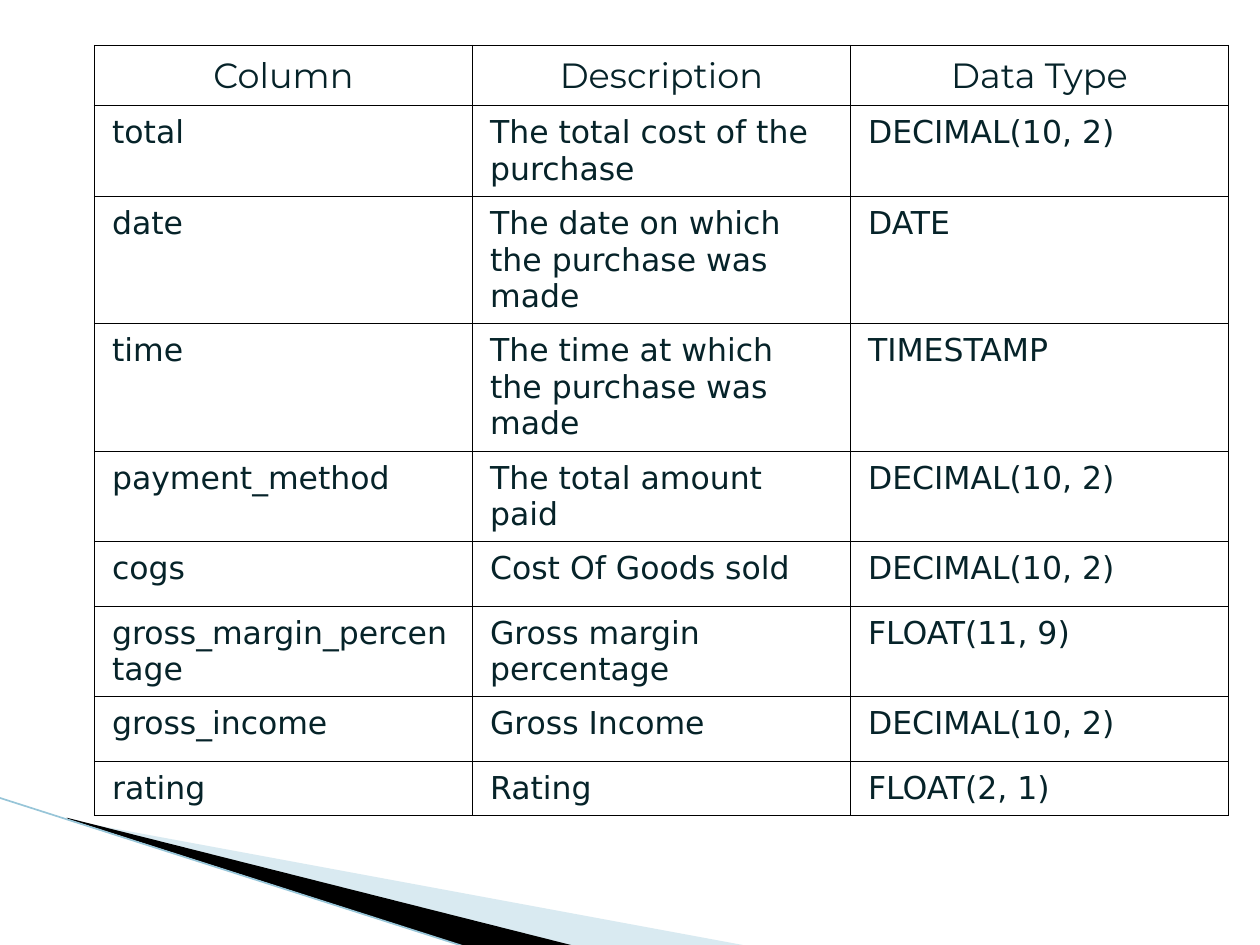
from dataclasses import dataclass

from lxml.etree import SubElement as Sub
from pptx import Presentation
from pptx.dml.color import RGBColor
from pptx.enum.shapes import MSO_CONNECTOR as Conn
from pptx.enum.text import PP_ALIGN as Align
from pptx.oxml.ns import qn
from pptx.util import Inches, Pt

INK, BLACK, WHITE = "062329", "000000", "FFFFFF"
COL = 3
MARGINS = {"margin_left": 0.14, "margin_top": 0.07,
           "margin_right": 0.14, "margin_bottom": 0.07}


@dataclass
class Wedge:
    points: list[tuple[float, float]]
    color: str
    alpha: int = 100


@dataclass
class Grid:
    top: float
    height: float
    rows: list[float]
    cells: list[tuple[str, str, str]]
    font: str
    size: int
    align: Align


WEDGES = [
    Wedge([(0.55, 6.51), (5.95, 7.51), (4.56, 7.51), (0.55, 6.5)], "A0CBDC", 40),
    Wedge([(0.53, 6.49), (4.57, 7.51), (3.72, 7.52), (0.54, 6.5)], BLACK),
]
GRIDS = [
    Grid(0.36, 0.47, [0.32], [("Column", "Description", "Data Type")],
         "Montserrat", 20, Align.CENTER),
    Grid(0.84, 5.75, [0.51] * 5 + [0.32, 0.51, 0.32], [
        ("total", "The total cost of the purchase", "DECIMAL(10, 2)"),
        ("date", "The date on which the purchase was made", "DATE"),
        ("time", "The time at which the purchase was made", "TIMESTAMP"),
        ("payment_method", "The total amount paid", "DECIMAL(10, 2)"),
        ("cogs", "Cost Of Goods sold", "DECIMAL(10, 2)"),
        ("gross_margin_percentage", "Gross margin percentage", "FLOAT(11, 9)"),
        ("gross_income", "Gross Income", "DECIMAL(10, 2)"),
        ("rating", "Rating", "FLOAT(2, 1)"),
    ], "DejaVu Sans", 18, Align.LEFT),
]


def paint(fmt, color: str) -> None:
    fmt.solid()
    fmt.fore_color.rgb = RGBColor.from_string(color)


def draw_wedge(shapes, wedge: Wedge) -> None:
    start, *rest = [(Inches(x), Inches(y)) for x, y in wedge.points]
    pen = shapes.build_freeform(*start)
    pen.add_line_segments(rest, close=True)
    shape = pen.convert_to_shape()
    shape.shadow.inherit = False
    paint(shape.fill, wedge.color)
    shape.line.fill.background()
    if wedge.alpha < 100:
        tone = shape.fill._xPr.find(".//" + qn("a:srgbClr"))
        Sub(tone, qn("a:alpha"), val=str(wedge.alpha * 1000))


def draw_edge(shapes) -> None:
    edge = shapes.add_connector(Conn.STRAIGHT, Inches(-0.01), Inches(6.33),
                                Inches(3.71), Inches(7.52))
    paint(edge.line.fill, "97C5D8")
    edge.line.width = Pt(0.95)
    Sub(edge._element.spPr, qn("a:effectLst"))


def frame_cell(cell) -> None:
    props = cell._tc.get_or_add_tcPr()
    for side in "LRTB":
        line = Sub(props, qn(f"a:ln{side}"), w=str(Pt(0.75)))
        Sub(Sub(line, qn("a:solidFill")), qn("a:srgbClr"), val=BLACK)


def fill_cell(cell, text: str, grid: Grid) -> None:
    for name, value in MARGINS.items():
        setattr(cell, name, Inches(value))
    frame_cell(cell)
    paint(cell.fill, WHITE)
    para = cell.text_frame.paragraphs[0]
    para.alignment = grid.align
    para.space_after = Pt(12)
    run = para.add_run()
    run.text = text
    run.font.name = grid.font
    run.font.size = Pt(grid.size)
    paint(run.font.fill, INK)


def draw_grid(shapes, grid: Grid) -> None:
    frame = shapes.add_table(len(grid.rows), 3, Inches(0.75), Inches(grid.top),
                             Inches(3 * COL), Inches(grid.height))
    table = frame.table
    table.first_row = table.horz_banding = False
    for col in table.columns:
        col.width = Inches(COL)
    for row, high, texts in zip(table.rows, grid.rows, grid.cells):
        row.height = Inches(high)
        for cell, text in zip(row.cells, texts):
            fill_cell(cell, text, grid)
    frame.height = Inches(grid.height)


def main() -> None:
    """Build the slide that lists the columns of the sales table."""
    deck = Presentation()
    deck.slide_width, deck.slide_height = Inches(10), Inches(7.5)
    slide = deck.slides.add_slide(deck.slide_layouts[6])
    paint(slide.background.fill, WHITE)
    for wedge in WEDGES:
        draw_wedge(slide.shapes, wedge)
    draw_edge(slide.shapes)
    for grid in GRIDS:
        draw_grid(slide.shapes, grid)
    deck.save("out.pptx")


if __name__ == "__main__":
    main()
